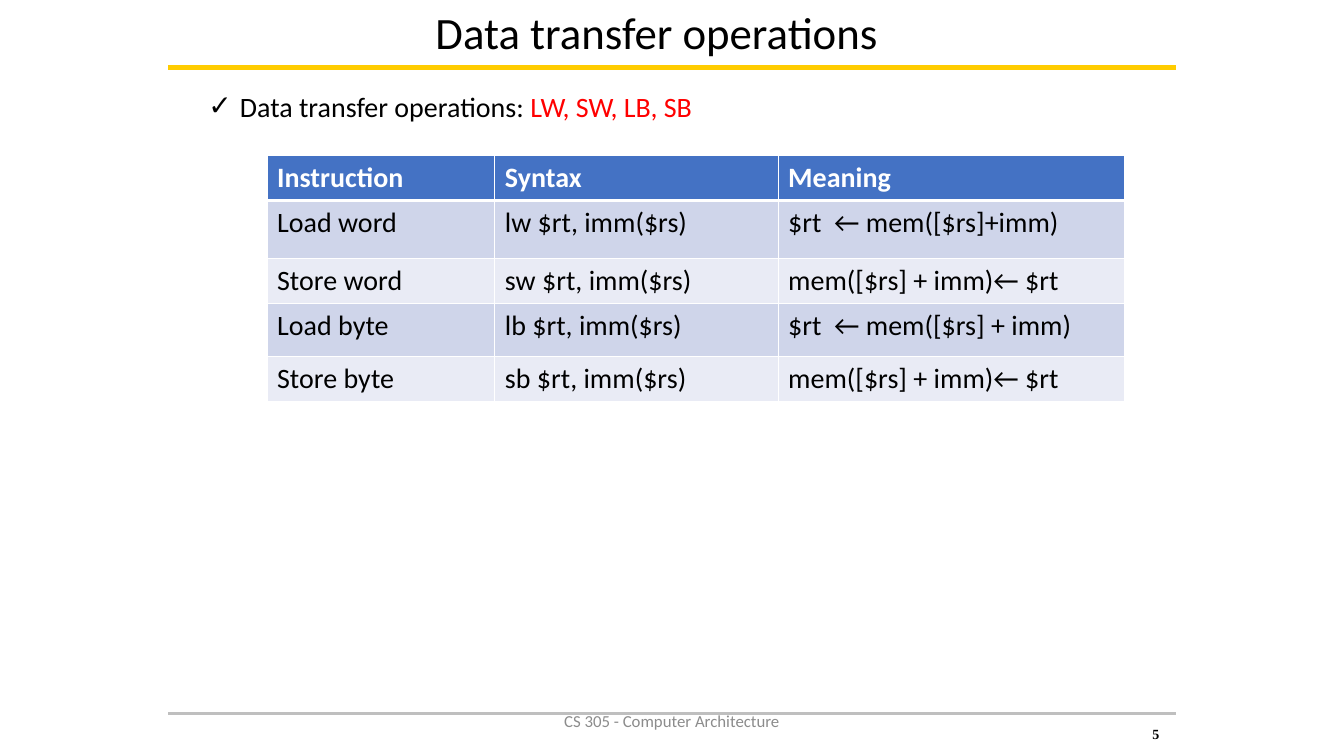
from lxml.etree import SubElement
from pptx import Presentation
from pptx.dml.color import RGBColor
from pptx.enum.shapes import MSO_CONNECTOR
from pptx.enum.text import MSO_ANCHOR, MSO_AUTO_SIZE, PP_ALIGN
from pptx.oxml.ns import qn
from pptx.util import Cm, Pt

COLORS = {
    "text": "000000", "accent": "FF0000", "header_text": "FFFFFF", "border": "FFFFFF",
    "header": "4472C4", "odd_row": "CFD5EA", "even_row": "E9EBF5",
    "title_rule": "FFCC00", "footer_rule": "BFBFBF", "footer": "8C8C8C",
}


def style_text(span, size, color, font="Calibri", bold=False):
    span.font.size = Pt(size)
    span.font.name = font
    span.font.bold = bold
    span.font.color.rgb = RGBColor.from_string(COLORS[color])


def place(box, left, top, width, height):
    box.left, box.top, box.width, box.height = Cm(left), Cm(top), Cm(width), Cm(height)
    box.text_frame.word_wrap = True
    box.text_frame.auto_size = MSO_AUTO_SIZE.NONE
    box.text_frame.vertical_anchor = MSO_ANCHOR.MIDDLE


deck = Presentation()
deck.slide_width, deck.slide_height = Cm(33.87), Cm(19.05)
page = deck.slides.add_slide(deck.slide_layouts[1])

title, body = page.placeholders
place(title, 4.74, 0.33, 23.62, 0.94)
title.text_frame.text = "Data transfer operations"
title_para = title.text_frame.paragraphs[0]
title_para.alignment = PP_ALIGN.CENTER
style_text(title_para.runs[0], 32, "text")

place(body, 3.73, 2.13, 23.6, 1.12)
body.text_frame.vertical_anchor = MSO_ANCHOR.TOP
body.text_frame.auto_size = MSO_AUTO_SIZE.SHAPE_TO_FIT_TEXT
bullet_para = body.text_frame.paragraphs[0]
bullet_para.space_before = Pt(0)
for words, color in [("Data transfer operations: ", "text"), ("LW, SW, LB, SB", "accent")]:
    span = bullet_para.add_run()
    span.text = words
    style_text(span, 20, color)
bullet_props = bullet_para._p.get_or_add_pPr()
bullet_props.set("marL", str(Cm(2.06)))
bullet_props.set("indent", str(-Cm(0.79)))
SubElement(bullet_props, qn("a:buFont"), typeface="Calibri")
SubElement(bullet_props, qn("a:buChar"), char="\u2713")

for height, width, color in [(1.7, 3, "title_rule"), (17.98, 2, "footer_rule")]:
    rule = page.shapes.add_connector(
        MSO_CONNECTOR.STRAIGHT, Cm(4.24), Cm(height), Cm(29.64), Cm(height))
    rule.line.width = Pt(width)
    rule.line.color.rgb = RGBColor.from_string(COLORS[color])
    SubElement(rule._element.spPr, qn("a:effectLst"))

instructions = [
    ("Instruction", "Syntax", "Meaning"),
    ("Load word", "lw $rt, imm($rs) ", "$rt  ← mem([$rs]+imm)"),
    ("Store word", "sw $rt, imm($rs) ", "mem([$rs] + imm)← $rt"),
    ("Load byte", "lb $rt, imm($rs)", "$rt  ← mem([$rs] + imm)"),
    ("Store byte", "sb $rt, imm($rs) ", "mem([$rs] + imm)← $rt"),
]
column_widths = [5.74, 7.14, 8.74]
row_heights = [1.13, 1.47, 1.13, 1.34, 1.13]
table = page.shapes.add_table(
    len(instructions), len(column_widths), Cm(6.73), Cm(3.92),
    Cm(sum(column_widths)), Cm(sum(row_heights))).table
for column, width in zip(table.columns, column_widths):
    column.width = Cm(width)
for number, (row, height, words) in enumerate(zip(table.rows, row_heights, instructions)):
    row.height = Cm(height)
    is_header = number == 0
    fill = "header" if is_header else ("odd_row" if number % 2 else "even_row")
    edges = {"a:lnL": 1, "a:lnR": 1, "a:lnT": 3 if number == 1 else 1,
             "a:lnB": 3 if is_header else 1}
    for cell, text in zip(row.cells, words):
        cell.text_frame.text = text
        style_text(cell.text_frame.paragraphs[0].runs[0], 20,
                   "header_text" if is_header else "text", bold=is_header)
        cell_props = cell._tc.get_or_add_tcPr()
        for edge, points in edges.items():
            border = SubElement(cell_props, qn(edge), w=str(Pt(points)))
            paint = SubElement(border, qn("a:solidFill"))
            SubElement(paint, qn("a:srgbClr"), val=COLORS["border"])
        cell.fill.solid()
        cell.fill.fore_color.rgb = RGBColor.from_string(COLORS[fill])

footer = page.shapes.add_textbox(0, 0, 0, 0)
place(footer, 11.22, 17.65, 11.43, 1.02)
footer.text_frame.text = "CS 305 - Computer Architecture"
footer_para = footer.text_frame.paragraphs[0]
footer_para.alignment = PP_ALIGN.CENTER
style_text(footer_para.runs[0], 12, "footer")

page_number = page.shapes.add_textbox(0, 0, 0, 0)
place(page_number, 27.52, 18.2, 2.54, 0.58)
page_number.text_frame.text = "5"
number_para = page_number.text_frame.paragraphs[0]
number_para._p.get_or_add_pPr().set("marL", str(Cm(1.27)))
style_text(number_para.runs[0], 10, "text", "Times New Roman", True)

deck.save("out.pptx")
